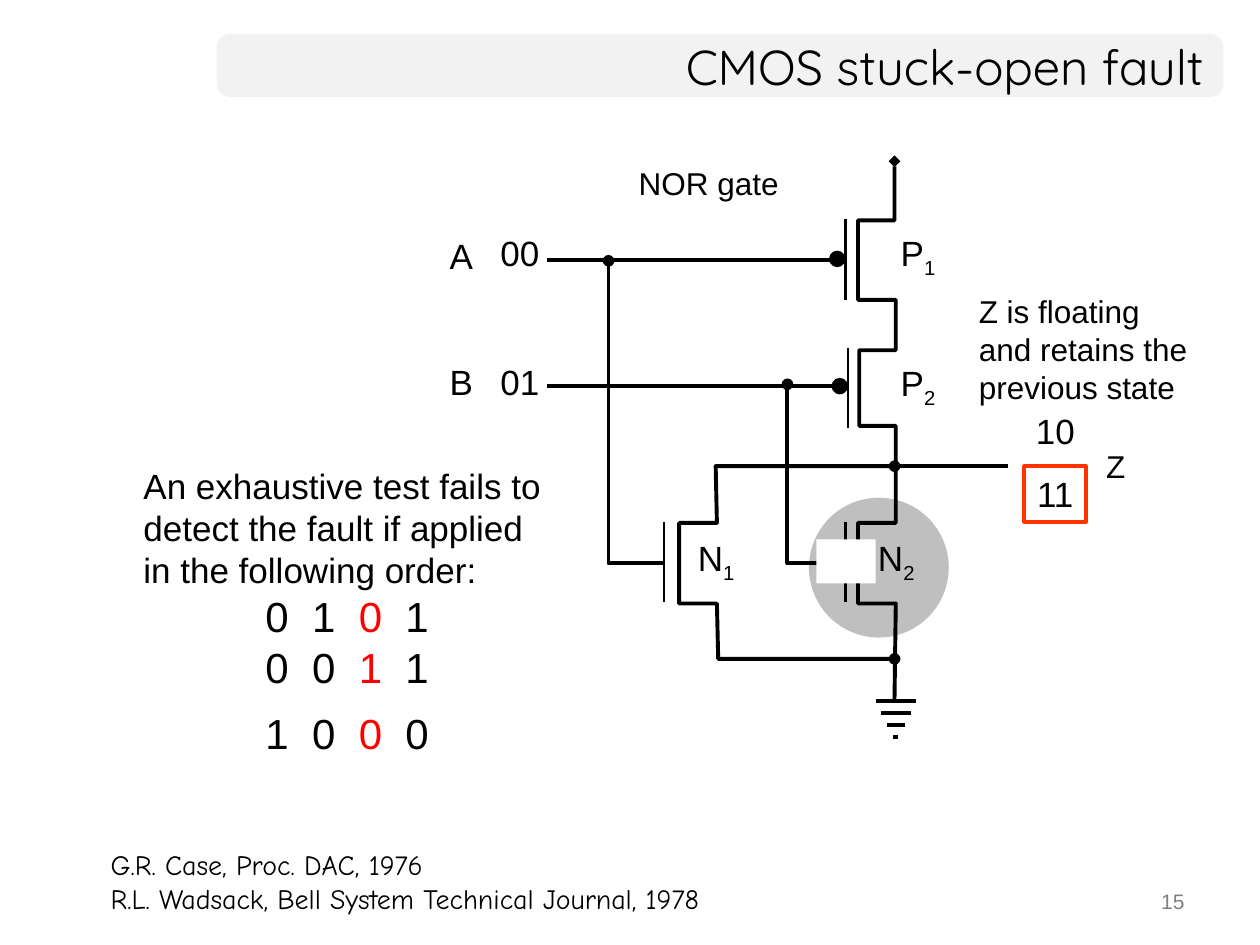
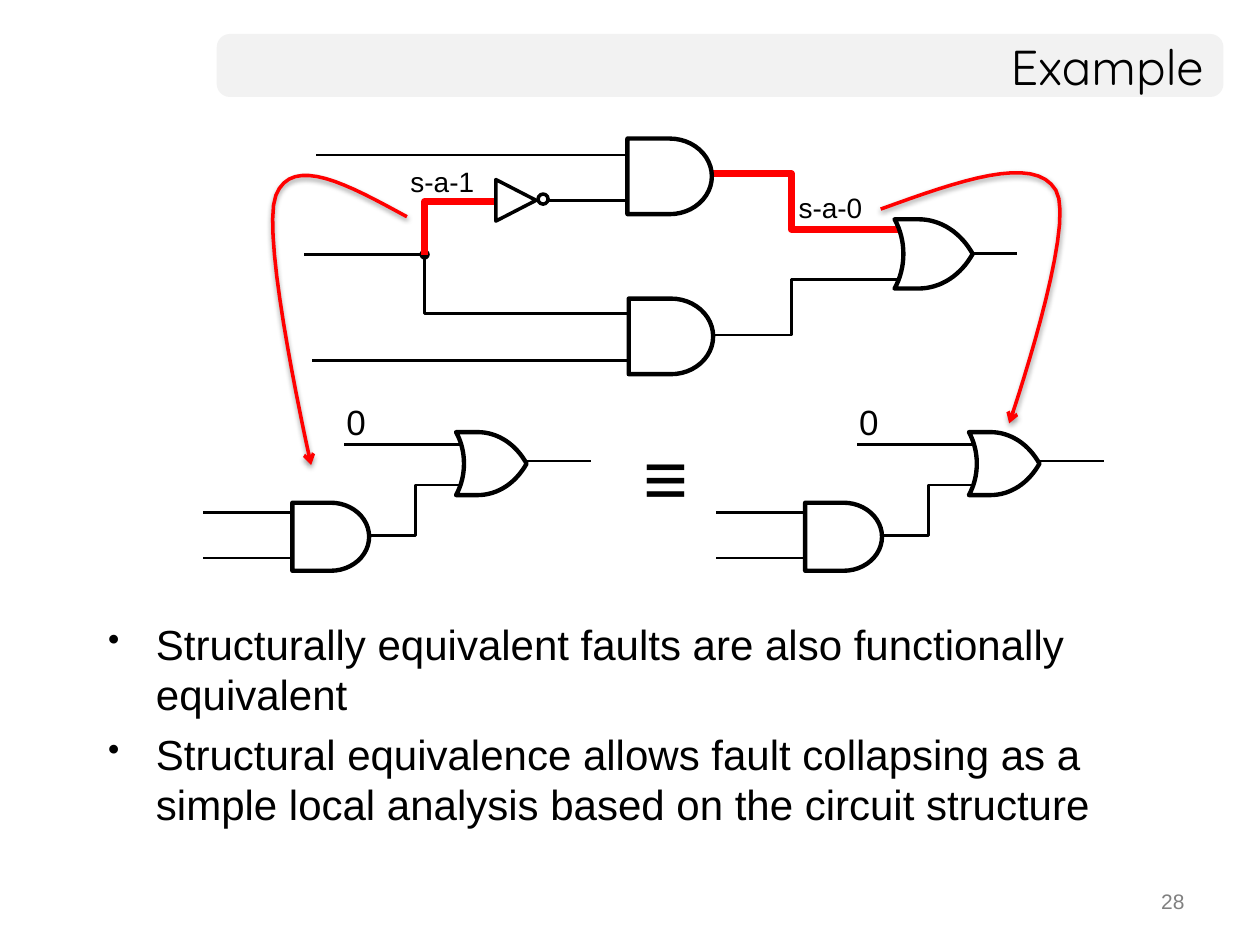
from lxml import etree
from pptx import Presentation
from pptx import util as u
from pptx.dml.color import RGBColor
from pptx.enum import shapes, text
from pptx.oxml.ns import qn

COLS, ROWS = 100, 75
WIDTH, HEIGHT = u.Inches(10), u.Inches(7.5)
COLORS = {"ink": "000000", "paper": "FFFFFF", "band": "F2F2F2", "number": "808080",
          "faulty": "BFBFBF", "fault": "FF0000", "state": "FF3300"}
BODY, TITLE, NOTE = "Arial", "Quicksand", "Comic Neue"
ALIGN = {"l": text.PP_ALIGN.LEFT, "c": text.PP_ALIGN.CENTER, "r": text.PP_ALIGN.RIGHT}
SHAPE = shapes.MSO_SHAPE
OR_RIM = (((0.3, 0), (0.6, 0), (0.85, 0.2), (1, 0.5)),
          ((1, 0.5), (0.85, 0.8), (0.6, 1), (0.3, 1)),
          ((0, 1), (0.15, 0.7), (0.15, 0.3), (0, 0)))


def col(v):
    return round(v * WIDTH / COLS)


def row(v):
    return round(v * HEIGHT / ROWS)


def rgb(name):
    return RGBColor.from_string(COLORS[name])


def sub(parent, tag, **attrs):
    return etree.SubElement(parent, qn(tag), attrs)


def bezier(a, b, c, d, steps=16):
    pts = []
    for i in range(steps + 1):
        t = i / steps
        w = (1 - t) ** 3, 3 * t * (1 - t) ** 2, 3 * t * t * (1 - t), t ** 3
        pts.append(tuple(sum(k * q[n] for k, q in zip(w, (a, b, c, d))) for n in (0, 1)))
    return pts


def write(tf, paras, size=20, font=BODY, color="ink", align="l", before=0, bullet=False):
    for i, para in enumerate([paras] if isinstance(paras, str) else paras):
        p = tf.paragraphs[0] if i == 0 else tf.add_paragraph()
        fmt = {"size": size, "align": align, "before": before}
        if isinstance(para, tuple):
            para, own = para
            fmt.update(own)
        p.alignment = ALIGN[fmt["align"]]
        if i and fmt["before"]:
            p.space_before = u.Pt(fmt["before"])
        if bullet:
            pPr = p._p.get_or_add_pPr()
            pPr.set("marL", str(col(3.8)))
            pPr.set("indent", str(-col(3.8)))
            sub(pPr, "a:buSzPct", val="80000")
            sub(pPr, "a:buChar", char="•")
        for run in [para] if isinstance(para, str) else para:
            words, extra = run if isinstance(run, tuple) else (run, {})
            for n, part in enumerate(words.split("\n")):
                if n:
                    p.add_line_break()
                r = p.add_run()
                r.text = part
                r.font.size, r.font.name = u.Pt(fmt["size"]), font
                r.font.color.rgb = rgb(extra.get("color", color))
                if "base" in extra:
                    r._r.get_or_add_rPr().set("baseline", str(extra["base"] * 1000))


class Deck:
    def __init__(self):
        self.prs = Presentation()
        self.prs.slide_width, self.prs.slide_height = WIDTH, HEIGHT
        self.s = None

    def slide(self, title, number):
        self.s = self.prs.slides.add_slide(self.prs.slide_layouts[6])
        band = self.shape(SHAPE.ROUNDED_RECTANGLE, 17.2, 2.7, 79.9, 5, fill="band")
        band.adjustments[0] = 0.21
        self.text(title, 17.2, 2.7, 79.3, 5, size=28, font=TITLE, align="r",
                  wrap=True, middle=True)
        self.text(number, 71.7, 70, 23.3, 3.5, size=12, color="number", align="r", wrap=True)

    def pen(self, sp, color, weight, head=None, tail=None):
        sp.line.color.rgb = rgb(color)
        sp.line.width = u.Pt(weight)
        ln = sp.line._get_or_add_ln()
        for tag, end in (("a:headEnd", head), ("a:tailEnd", tail)):
            if end:
                sub(ln, tag, type=end)

    def paint(self, sp, fill, line, weight, **ends):
        sp.shadow.inherit = False
        if fill:
            sp.fill.solid()
            sp.fill.fore_color.rgb = rgb(fill)
        else:
            sp.fill.background()
        if line:
            self.pen(sp, line, weight, **ends)
        else:
            sp.line.fill.background()

    def shape(self, kind, x, y, w, h, fill=None, line=None, weight=1.5):
        sp = self.s.shapes.add_shape(kind, col(x), row(y), col(w), row(h))
        self.paint(sp, fill, line, weight)
        return sp

    def text(self, words, x, y, w, h, wrap=False, middle=False, **fmt):
        sp = self.s.shapes.add_textbox(col(x), row(y), col(w), row(h))
        tf = sp.text_frame
        tf.word_wrap = wrap
        if middle:
            tf.vertical_anchor = text.MSO_ANCHOR.MIDDLE
        write(tf, words, **fmt)

    def wire(self, x1, y1, x2, y2, weight=1.5, **ends):
        cx = self.s.shapes.add_connector(shapes.MSO_CONNECTOR.STRAIGHT,
                                         col(x1), row(y1), col(x2), row(y2))
        self.pen(cx, "ink", weight, **ends)
        sub(cx._element.spPr, "a:effectLst")

    def path_of(self, pts, line="ink", weight=1.5, fill=None, **ends):
        pts = [(col(x), row(y)) for x, y in pts]
        fb = self.s.shapes.build_freeform(*pts[0])
        fb.add_line_segments(pts[1:], close=fill is not None)
        sp = fb.convert_to_shape()
        self.paint(sp, fill, line, weight, **ends)
        return sp

    def and_gate(self, x, y, w, h):
        self.shape(SHAPE.FLOWCHART_DELAY, x, y, w, h, "paper", "ink", 2.5)

    def or_gate(self, x, y, w, h):
        rim = [pt for curve in OR_RIM for pt in bezier(*curve)]
        self.path_of([(x + a * w, y + b * h) for a, b in rim], weight=2.5, fill="paper")

    def swoop(self, *curves):
        sp = self.path_of([pt for curve in curves for pt in bezier(*curve)],
                          "fault", 2, tail="arrow")
        shade = sub(sp._element.spPr.find(qn("a:effectLst")), "a:outerShdw",
                    blurRad=str(u.Pt(3.1)), dist=str(u.Pt(1.6)), dir="5400000", rotWithShape="0")
        sub(sub(shade, "a:srgbClr", val=COLORS["ink"]), "a:alpha", val="38000")


def stuck_open(d):
    d.slide("CMOS stuck-open fault", "15")
    d.text("NOR gate", 49.7, 12.5, 13.2, 4, size=18)
    d.shape(SHAPE.OVAL, 64.2, 39.5, 11.1, 11.1, fill="faulty")

    d.path_of([(71, 12.8), (71, 17.5), (68.1, 17.5), (68.1, 23.8), (71.1, 23.8), (71.1, 27.8),
               (68.2, 27.8), (68.2, 33.8), (71.1, 33.8), (71.1, 41.5), (68.1, 41.5),
               (68.1, 47.9), (71.1, 47.9), (71, 55.5)], weight=2.25, head="diamond")
    d.path_of([(71, 37), (56.8, 37), (56.9, 41.5), (53.9, 41.5), (53.9, 47.9), (56.9, 47.9),
               (57, 52.3), (71, 52.3)], weight=2.25, head="oval", tail="oval")
    for x, top in ((48.3, 20.7), (62.5, 30.5)):
        d.path_of([(x, top), (x, 44.7), (x + 4.4, 44.7)], weight=2.25, head="oval")
    for x, top in ((67.1, 17.4), (67.3, 27.6), (67.1, 41.4), (52.7, 41.4)):
        d.wire(x, top, x, top + 6.4)
    for x, y in ((65.9, 20), (66.1, 30.1)):
        d.shape(SHAPE.FLOWCHART_CONNECTOR, x, y, 1.1, 1.1, "ink", "ink")
    for y in (20.6, 30.6):
        d.wire(66.2, y, 43.4, y, 2.25)
    for i, half in enumerate((1.6, 1.2, 0.7, 0.2)):
        y = 55.6 + i * 0.97
        d.wire(71.1 - half, y, 71.1 + half, y, 2.25)
    d.wire(71.3, 37, 80, 37, 2.25)

    for name, index, x, y in (("P", "1", 70.5, 17.9), ("P", "2", 70.5, 28.2),
                              ("N", "2", 68.7, 42.1), ("N", "1", 54.4, 42.1)):
        d.text([[name, (index, {"base": -25})]], x, y, 5, 4.4)
    for bits, x, y in (("00", 38.7, 17.9), ("01", 38.7, 28.1), ("10", 81.2, 32)):
        d.text(bits, x, y, 5.1, 4.4, align="c")
    state = d.shape(SHAPE.RECTANGLE, 81.3, 37, 4.9, 4.4, line="state", weight=2.25)
    state.text_frame.word_wrap = False
    write(state.text_frame, "11", align="c")
    d.shape(SHAPE.RECTANGLE, 64.8, 42.8, 4.7, 3.5, fill="paper")

    bits = {"size": 24, "align": "c"}
    red = {"color": "fault"}
    d.text(["An exhaustive test fails to\ndetect the fault if applied\nin the following order:",
            (["0  1  ", ("0", red), "  1"], bits),
            (["0  0  ", ("1", red), "  1"], bits),
            (["1  0  ", ("0", red), "  0"], {**bits, "before": 9})],
           10.4, 35.2, 34.3, 26.6, wrap=True, middle=True)
    d.text("Z is floating and retains the previous state", 76.7, 22.7, 18.7, 10.1,
           wrap=True, size=18)
    d.text(["G.R. Case, Proc. DAC, 1976", "R.L. Wadsack, Bell System Technical Journal, 1978"],
           7.8, 66.8, 55.1, 6.4, size=16, font=NOTE)
    d.text("A", 34.7, 18.1, 4.1, 4.4)
    d.text("B", 34.7, 28.1, 3.9, 4.4)
    d.text("Z", 86.8, 35, 3.6, 4, size=18)


def reduced_circuit(d, x):
    d.wire(x + 22.9, 35.3, x + 11.2, 35.3)
    d.path_of([(x + 11.9, 42.5), (x + 16.9, 42.5), (x + 16.9, 38.5), (x + 23.8, 38.5)])
    d.wire(x + 30.8, 36.6, x + 23.2, 36.6)
    for y in (44.3, 40.7):
        d.wire(x + 7.8, y, x, y)
    d.and_gate(x + 7.1, 39.9, 6.1, 5.4)
    d.text("0", x + 10.4, 31.3, 3.7, 4.4, wrap=True)
    d.or_gate(x + 20.1, 34.3, 5.6, 5)


def example(d):
    d.slide("Example", "28")
    d.text("≡", 50.1, 33.6, 5.4, 8.3, wrap=True, size=44)
    d.text(["Structurally equivalent faults are also functionally equivalent",
            "Structural equivalence allows fault collapsing as a simple local analysis "
            "based on the circuit structure"],
           7.6, 48.6, 81, 18, wrap=True, size=24, before=5, bullet=True)
    for x in (16.1, 56.8):
        reduced_circuit(d, x)

    d.path_of([(50.3, 15.9), (33.7, 15.9), (33.7, 24.9), (51.9, 24.9)])
    for y, end, color, weight in ((26.6, 22.2, "ink", 1.5), (13.8, 18.2, "fault", 4)):
        d.path_of([(55.2, y), (62.8, y), (62.8, end), (73.1, end)], color, weight)
    d.wire(80.7, 20.1, 75.9, 20.1)
    d.wire(50.7, 28.6, 24.8, 28.6)
    d.wire(51, 12.3, 25.1, 12.3)
    d.wire(33.7, 20.2, 24.1, 20.2, head="oval")
    d.and_gate(49.8, 11, 6.7, 6)
    d.and_gate(49.9, 23.7, 6.7, 6)
    d.or_gate(71, 17.4, 6.2, 5.5)
    d.text("s-a-0", 62.4, 14.6, 10.6, 3.7, wrap=True, size=16)
    d.text("s-a-1", 31.6, 12.6, 8.3, 3.7, wrap=True, size=16)
    d.path_of([(33.7, 20.2), (33.7, 16), (41.5, 16)], "fault", 4)
    d.shape(SHAPE.FLOWCHART_CONNECTOR, 42.7, 15.4, 0.8, 0.8, "paper", "ink", 2)
    d.shape(SHAPE.ISOSCELES_TRIANGLE, 39.3, 14.3, 3.3, 3.2, "paper", "ink", 2).rotation = 90

    d.swoop(((32.3, 17.2), (27.7, 14.7), (23.2, 12.2), (21.9, 15.5)),
            ((21.9, 15.5), (20.6, 18.8), (24.7, 36.9), (24.7, 36.9)))
    d.swoop(((69.9, 16.6), (76, 14.4), (82.1, 12.2), (83.8, 15.1)),
            ((83.8, 15.1), (85.5, 17.9), (80.1, 33.6), (80.1, 33.6)))


def main():
    d = Deck()
    stuck_open(d)
    example(d)
    d.prs.save("out.pptx")


if __name__ == "__main__":
    main()
